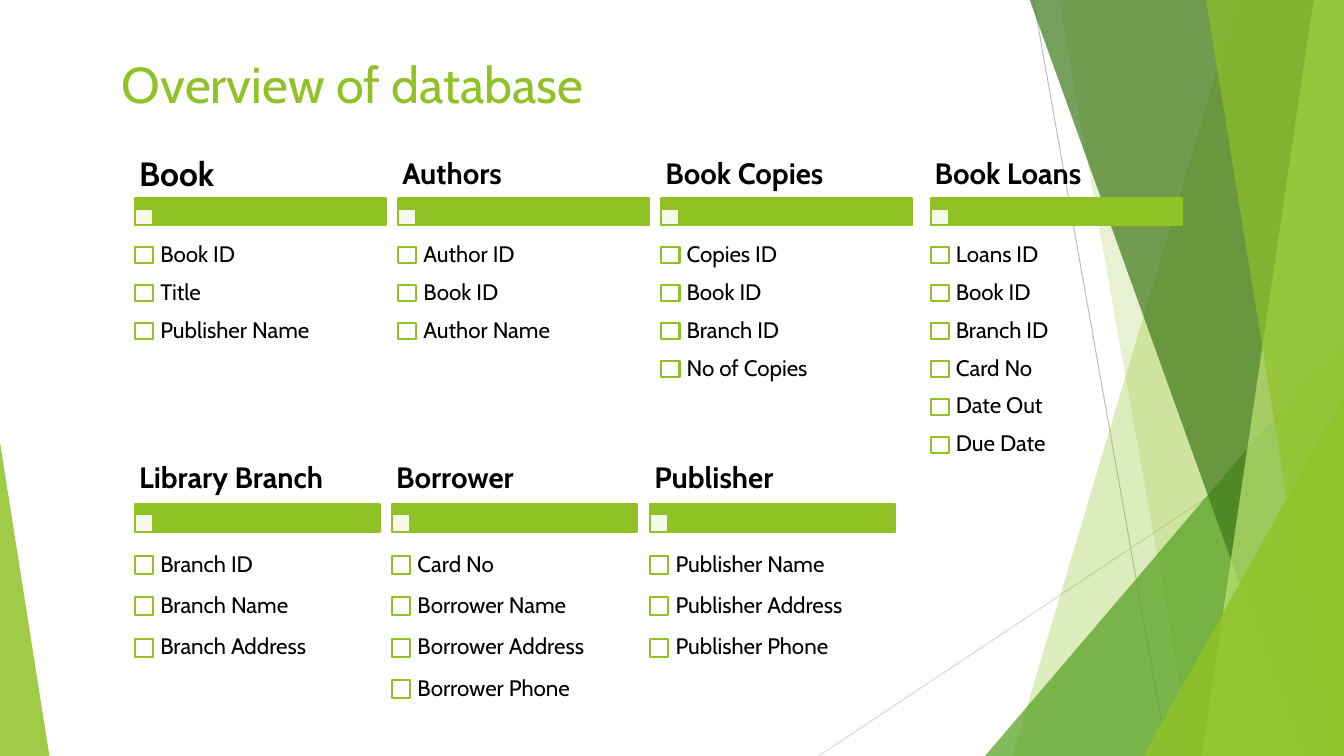
"""Build the library database overview slide."""
import pptx
import pptx.util
import pptx.dml.color
import pptx.enum.shapes
import pptx.enum.text
import pptx.oxml.ns
import lxml.etree

Inches = pptx.util.Inches
Pt = pptx.util.Pt
Shape = pptx.enum.shapes.MSO_SHAPE
hues = {"lime": "90C226", "leaf": "54A021", "moss": "3F7819", "pale": "C0E474",
        "white": "FFFFFF", "black": "000000", "gray": "BFBFBF", "mist": "D9D9D9"}


def paint(shape, hue, alpha=100, edge=None):
    shape.shadow.inherit = False
    shape.fill.solid()
    shape.fill.fore_color.rgb = pptx.dml.color.RGBColor.from_string(hues[hue])
    if alpha < 100:
        color = shape.fill._xPr.find(".//" + pptx.oxml.ns.qn("a:srgbClr"))
        lxml.etree.SubElement(color, pptx.oxml.ns.qn("a:alpha"), val=str(alpha * 1000))
    if edge:
        shape.line.color.rgb = pptx.dml.color.RGBColor.from_string(hues[edge])
        shape.line.width = Pt(1.5)
    else:
        shape.line.fill.background()


def write(shape, text, size, hue="black", bold=False, pad=(0.1, 0.05)):
    frame = shape.text_frame
    frame.text = text
    side, edge = Inches(pad[0]), Inches(pad[1])
    form = {"word_wrap": True, "vertical_anchor": pptx.enum.text.MSO_ANCHOR.MIDDLE,
            "margin_left": side, "margin_right": side,
            "margin_top": edge, "margin_bottom": edge}
    for key, value in form.items():
        setattr(frame, key, value)
    line = frame.paragraphs[0]
    line.alignment = pptx.enum.text.PP_ALIGN.LEFT
    line.line_spacing = 0.9 if hue == "black" else 1.0
    for key, value in {"name": "Cabin", "size": Pt(size), "bold": bold}.items():
        setattr(line.font, key, value)
    line.font.color.rgb = pptx.dml.color.RGBColor.from_string(hues[hue])


deck = pptx.Presentation()
deck.slide_width, deck.slide_height = Inches(13.33), Inches(7.5)
slide = deck.slides.add_slide(deck.slide_layouts[5])
shapes = slide.shapes

title = shapes.title
place = {"left": 1.11, "top": 0.33, "width": 11.5, "height": 1}
for key, value in place.items():
    setattr(title, key, Inches(value))
write(title, "Overview of database", 36, "lime")

for hue, *ends in [("gray", 10.25, 0, 11.58, 7.5), ("mist", 13.33, 4.03, 8.12, 7.5)]:
    line = shapes.add_connector(pptx.enum.shapes.MSO_CONNECTOR.STRAIGHT, *map(Inches, ends))
    line.line.color.rgb = pptx.dml.color.RGBColor.from_string(hues[hue])
    line.line.width = Pt(0.75)
    lxml.etree.SubElement(line._element.spPr, pptx.oxml.ns.qn("a:effectLst"))

facets = [
    ("pane", "lime", 30, 12.28, 10.04),
    ("pane", "lime", 20, 10.5, 11.83),
    ("wedge", "leaf", 72, 9.77, 3.33, 3.56, 1),
    ("pane", "moss", 70, 10.21, 12.91),
    ("pane", "pale", 70, 13.03, 11.92),
    ("pane", "lime", 65, 11.96, 13.18),
    ("wedge", "lime", 80, 11.34, 3.93, 1.99, 1),
    ("wedge", "lime", 85, 0, 4.39, 0.49, 0),
]
for kind, hue, alpha, *dims in facets:
    if kind == "pane":
        head, foot = dims
        pen = shapes.build_freeform(Inches(head), Inches(-0.01))
        pen.add_line_segments([(Inches(x), Inches(y)) for x, y in
                               [(13.33, -0.01), (13.33, 7.5), (foot, 7.5)]])
        facet = pen.convert_to_shape()
    else:
        left, top, wide, tip = dims
        facet = shapes.add_shape(Shape.ISOSCELES_TRIANGLE, Inches(left), Inches(top),
                                 Inches(wide), Inches(7.5 - top))
        facet.adjustments[0] = tip
    paint(facet, hue, alpha)

upper = {"top": 1.51, "head": 0.46, "bar": 0.26, "wide": 2.49, "box": 0.16,
         "first": 2.34, "step": 2.26 / 6}
lower = {"top": 4.5, "head": 0.5, "bar": 0.28, "wide": 2.43, "box": 0.18,
         "first": 5.4, "step": 0.41}
tables = [
    (upper, 9.23, "Book Loans", 21,
     ["Loans ID", "Book ID", "Branch ID", "Card No", "Date Out", "Due Date"]),
    (upper, 1.34, "Book", 24, ["Book ID", "Title", "Publisher Name"]),
    (upper, 3.95, "Authors", 21, ["Author ID", "Book ID", "Author Name"]),
    (upper, 6.56, "Book Copies", 21, ["Copies ID", "Book ID", "Branch ID", "No of Copies"]),
    (lower, 1.34, "Library Branch", 21, ["Branch ID", "Branch Name", "Branch Address"]),
    (lower, 3.89, "Borrower", 21,
     ["Card No", "Borrower Name", "Borrower Address", "Borrower Phone"]),
    (lower, 6.45, "Publisher", 21,
     ["Publisher Name", "Publisher Address", "Publisher Phone"]),
]
side = 0.18
for row, left, name, size, fields in tables:
    wide, box, step = row["wide"], row["box"], row["step"]
    top = row["top"] + row["head"]
    bar = shapes.add_shape(Shape.RECTANGLE, Inches(left), Inches(top),
                           Inches(wide), Inches(row["bar"]))
    paint(bar, "lime", edge="lime")
    mark = shapes.add_shape(Shape.RECTANGLE, Inches(left), Inches(top + row["bar"] - box),
                            Inches(side), Inches(box))
    paint(mark, "white", 90, "lime")
    head = shapes.add_textbox(Inches(left), Inches(row["top"]),
                              Inches(wide), Inches(row["head"]))
    write(head, name, size, bold=True, pad=(0.04, 0.03))
    for index, field in enumerate(fields):
        top = row["first"] + index * step
        check = shapes.add_shape(Shape.RECTANGLE, Inches(left),
                                 Inches(top + (step - box) / 2), Inches(side), Inches(box))
        paint(check, "white", edge="lime")
        label = shapes.add_textbox(Inches(left + side), Inches(top),
                                   Inches(wide - side), Inches(step))
        write(label, field, 16, pad=(0.07, 0.07))

deck.save("out.pptx")
